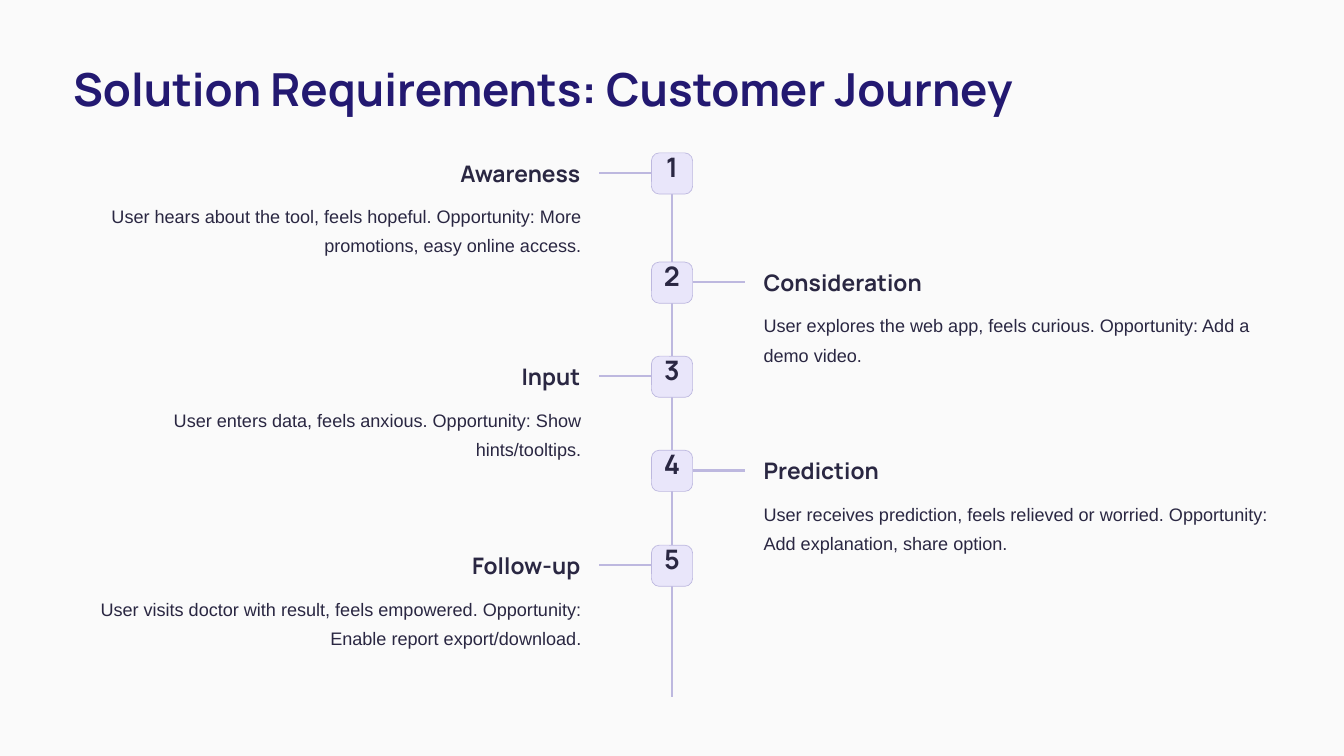
from lxml import etree
from pptx import Presentation
from pptx.dml.color import RGBColor
from pptx.enum.shapes import MSO_CONNECTOR, MSO_SHAPE
from pptx.enum.text import MSO_ANCHOR, MSO_AUTO_SIZE, PP_ALIGN
from pptx.oxml.ns import qn
from pptx.util import Emu, Pt

LEFT, CENTER, RIGHT = PP_ALIGN.LEFT, PP_ALIGN.CENTER, PP_ALIGN.RIGHT
PX = 9144  # 100 px to the inch
INK, LILAC = "2A2742", "BDB8DF"
AXIS, BADGE = 800, 49

# Top of the badge, heading, description; sides alternate from the left
STEPS = [
    (182, "Awareness", "User hears about the tool, feels hopeful. Opportunity: More promotions, easy online access."),
    (312, "Consideration", "User explores the web app, feels curious. Opportunity: Add a demo video."),
    (424, "Input", "User enters data, feels anxious. Opportunity: Show hints/tooltips."),
    (536, "Prediction", "User receives prediction, feels relieved or worried. "
                        "Opportunity: Add explanation, share option."),
    (649, "Follow-up", "User visits doctor with result, feels empowered. Opportunity: Enable report export/download."),
]


def px(*lengths):
    return [Emu(round(length * PX)) for length in lengths]


def write(shape, text, font, size, spacing, align=LEFT, color=INK, bold=True, wrap=False, top=0):
    """Fill a shape with one paragraph, set from its top edge without side margins."""
    frame = shape.text_frame
    frame.auto_size = MSO_AUTO_SIZE.NONE
    frame.word_wrap = wrap
    frame.vertical_anchor = MSO_ANCHOR.TOP
    frame.margin_left, frame.margin_top, frame.margin_right, frame.margin_bottom = px(0, top, 0, 0)
    paragraph = frame.paragraphs[0]
    paragraph.text = text
    paragraph.alignment = align
    paragraph.line_spacing = Pt(spacing)
    paragraph.font.name = font
    paragraph.font.size = Pt(size)
    paragraph.font.bold = bold
    paragraph.font.color.rgb = RGBColor.from_string(color)


deck = Presentation()
deck.slide_width, deck.slide_height = px(1600, 900)
slide = deck.slides.add_slide(deck.slide_layouts[5])
slide.background.fill.solid()
slide.background.fill.fore_color.rgb = RGBColor.from_string("FAFAFA")
shapes = slide.shapes

title = shapes.title
title.left, title.top, title.width, title.height = px(87, 70, 1200, 68)
write(title, "Solution Requirements: Customer Journey", "Manrope", 39, 48.5, color="231971")

# Spine of the timeline, then one branch per step
lines = [(AXIS, 182, AXIS, 830)]
for i, (top, _, _) in enumerate(STEPS):
    side = 1 if i % 2 else -1
    lines.append((AXIS + side * BADGE / 2, top + 24, AXIS + side * 87, top + 24))
for ends in lines:
    line = shapes.add_connector(MSO_CONNECTOR.STRAIGHT, *px(*ends))
    line.line.color.rgb = RGBColor.from_string(LILAC)
    line.line.width = Pt(2)
    etree.SubElement(line._element.spPr, qn("a:effectLst"))

for i, (top, heading, description) in enumerate(STEPS):
    badge = shapes.add_shape(MSO_SHAPE.ROUNDED_RECTANGLE, *px(AXIS - BADGE / 2, top, BADGE, BADGE))
    badge.adjustments[0] = 0.19
    badge.shadow.inherit = False
    badge.fill.solid()
    badge.fill.fore_color.rgb = RGBColor.from_string("E9E6FA")
    badge.line.color.rgb = RGBColor.from_string(LILAC)
    badge.line.width = Pt(0.6)
    write(badge, str(i + 1), "Manrope", 23, 23, CENTER, top=1)

    on_right = i % 2 == 1
    align = LEFT if on_right else RIGHT
    heading_box = shapes.add_textbox(*px(909 if on_right else 420, top + 7, 271, 34))
    write(heading_box, heading, "Manrope", 19.5, 24, align)
    description_box = shapes.add_textbox(*px(909 if on_right else 87, top + 54, 605, 69))
    write(description_box, description, "Arial", 15.5, 25, align, bold=False, wrap=True)

deck.save("out.pptx")
